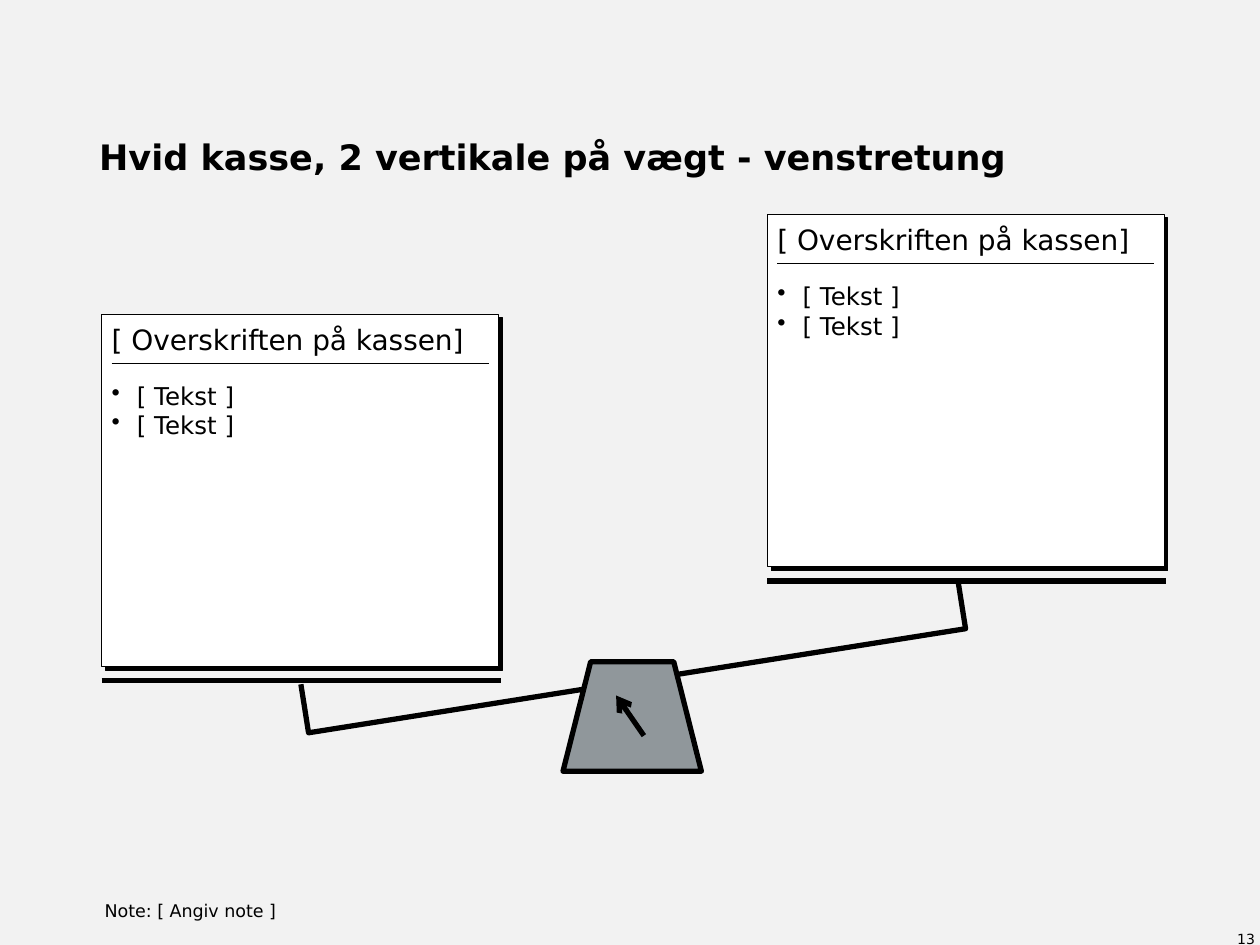
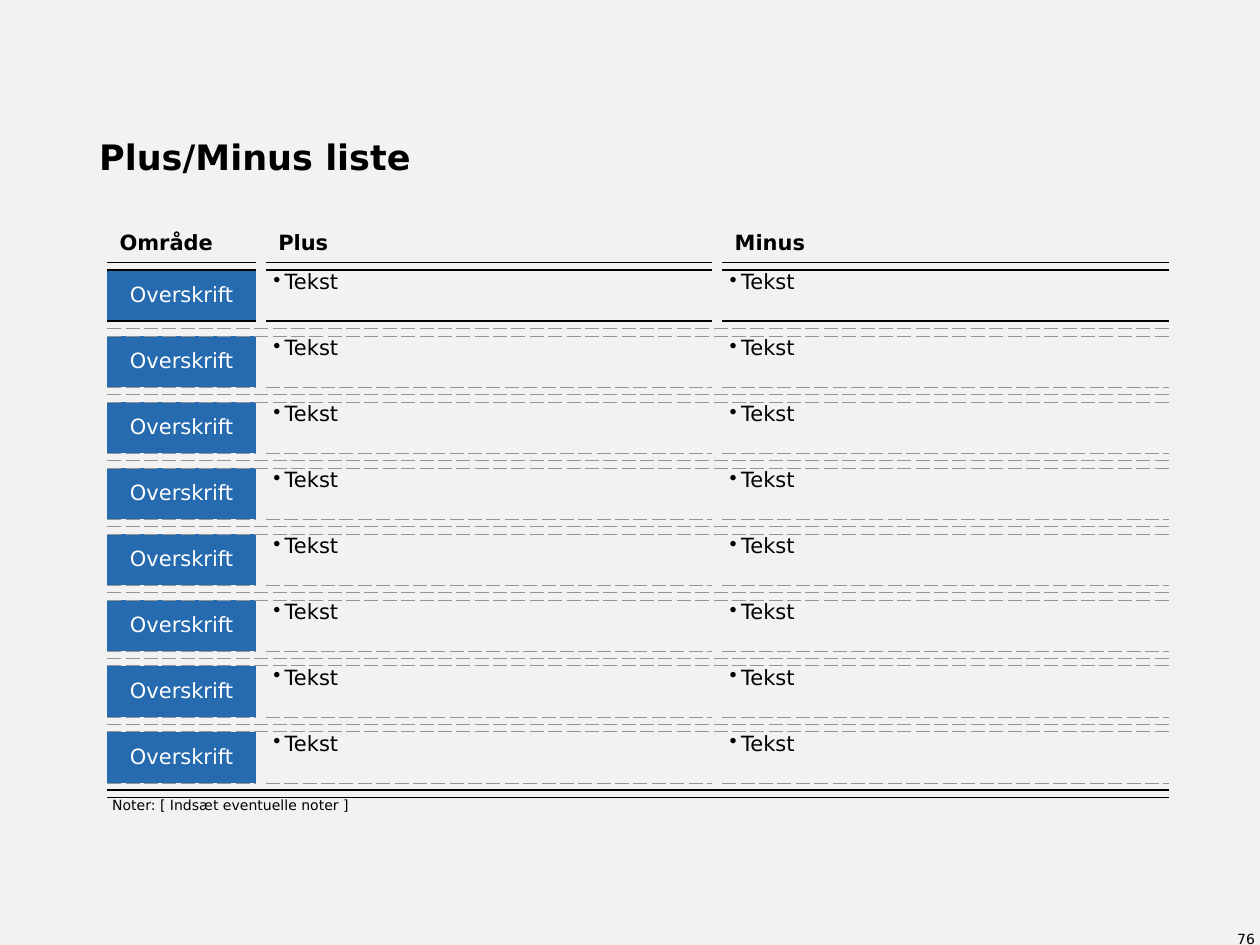
from lxml.etree import SubElement
from pptx import Presentation
from pptx.dml.color import RGBColor
from pptx.enum.shapes import MSO_CONNECTOR, MSO_SHAPE
from pptx.enum.text import MSO_ANCHOR, PP_ALIGN
from pptx.oxml.ns import qn
from pptx.util import Cm, Pt

COLORS = {
    "background": "F2F2F2",
    "ink": "000000",
    "paper": "FFFFFF",
    "gray": "90979B",
    "blue": "266BAF",
}
RGB = {name: RGBColor.from_string(value) for name, value in COLORS.items()}
FONT = "DejaVu Sans"


def write(holder, lines, size, color="ink", bold=False, align=PP_ALIGN.LEFT,
          anchor=MSO_ANCHOR.TOP, padding=(0, 0), indent=0, spacing=1):
    frame = getattr(holder, "text_frame", holder)
    frame.word_wrap = True
    holder.vertical_anchor = anchor
    holder.margin_left = holder.margin_right = Cm(padding[0])
    holder.margin_top = holder.margin_bottom = Cm(padding[1])
    for number, line in enumerate(lines):
        para = frame.add_paragraph() if number else frame.paragraphs[0]
        para.add_run().text = line
        para.alignment = align
        para.line_spacing = spacing
        if indent:
            properties = para._p.get_or_add_pPr()
            properties.set("marL", str(Cm(indent)))
            properties.set("indent", str(-Cm(indent)))
            SubElement(properties, qn("a:buChar"), char="•")
        para.font.name = FONT
        para.font.size = Pt(size)
        para.font.bold = bold
        para.font.color.rgb = RGB[color]


def draw_line(page, start_x, start_y, end_x, end_y, width):
    line = page.shapes.add_connector(
        MSO_CONNECTOR.STRAIGHT, Cm(start_x), Cm(start_y), Cm(end_x), Cm(end_y))
    line.line.color.rgb = RGB["ink"]
    line.line.width = Pt(width)
    SubElement(line._element.spPr, qn("a:effectLst"))
    return line


deck = Presentation()
deck.slide_width, deck.slide_height = Cm(25.4), Cm(19.05)
pages = []
for title, page_number in (
    ("Hvid kasse, 2 vertikale på vægt - venstretung", "13"),
    ("Plus/Minus liste", "76"),
):
    page = deck.slides.add_slide(deck.slide_layouts[6])
    page.background.fill.solid()
    page.background.fill.fore_color.rgb = RGB["background"]
    box = page.shapes.add_textbox(Cm(2), Cm(1.5), Cm(21.4), Cm(2.1))
    write(box.text_frame, [title], 20, bold=True, anchor=MSO_ANCHOR.BOTTOM, spacing=0.96)
    box = page.shapes.add_textbox(Cm(19.38), Cm(18.7), Cm(5.92), Cm(0.38))
    write(box.text_frame, [page_number], 8, align=PP_ALIGN.RIGHT, spacing=1.15)
    pages.append(page)
scale_page, list_page = pages

CARD_WIDTH, CARD_HEIGHT = 8, 7.11
for left, top in ((2.05, 6.33), (15.47, 4.32)):
    draw_line(scale_page, left, top + 7.39, left + 8.04, top + 7.39, 3)
    card = scale_page.shapes.add_shape(
        MSO_SHAPE.RECTANGLE, Cm(left), Cm(top), Cm(CARD_WIDTH), Cm(CARD_HEIGHT))
    card.fill.solid()
    card.fill.fore_color.rgb = RGB["paper"]
    card.line.color.rgb = RGB["ink"]
    card.line.width = Pt(0.5)
    effects = SubElement(card._element.spPr, qn("a:effectLst"))
    shadow = SubElement(effects, qn("a:outerShdw"), dist=str(Pt(3)), dir="2700000",
                        algn="ctr", rotWithShape="0")
    SubElement(shadow, qn("a:srgbClr"), val=COLORS["ink"])
    draw_line(scale_page, left + 0.2, top + 1, left + 7.8, top + 1, 0.5)
    box = scale_page.shapes.add_textbox(Cm(left), Cm(top), Cm(CARD_WIDTH), Cm(1))
    write(box.text_frame, ["[ Overskriften på kassen]"], 16,
          anchor=MSO_ANCHOR.BOTTOM, padding=(0.2, 0.15))
    box = scale_page.shapes.add_textbox(Cm(left), Cm(top + 1.2), Cm(CARD_WIDTH), Cm(5.4))
    write(box.text_frame, ["[ Tekst ]"] * 2, 14, padding=(0.2, 0.15), indent=0.51)

beam = scale_page.shapes.add_shape(
    MSO_SHAPE.RIGHT_BRACKET, Cm(12.27), Cm(6.53), Cm(0.99), Cm(13.41))
beam.adjustments[0] = 0
beam.rotation = 81
beam.fill.background()
foot = scale_page.shapes.add_shape(
    MSO_SHAPE.FLOWCHART_MANUAL_OPERATION, Cm(11.35), Cm(13.34), Cm(2.79), Cm(2.21))
foot._element.spPr.xfrm.set("flipV", "1")
foot.fill.solid()
foot.fill.fore_color.rgb = RGB["gray"]
for part in (beam, foot):
    part.line.color.rgb = RGB["ink"]
    part.line.width = Pt(3)
    part.shadow.inherit = False
needle = draw_line(scale_page, 12.98, 14.83, 12.42, 14.02, 3)
SubElement(needle.line._get_or_add_ln(), qn("a:tailEnd"), type="arrow")

box = scale_page.shapes.add_textbox(Cm(2.11), Cm(18.14), Cm(10), Cm(0.43))
write(box.text_frame, ["Note: [ Angiv note ]"], 10)

AREAS = 8
WIDTHS = [3, 0.2, 9, 0.2, 9]
HEIGHTS = [0.75] + [0.15, 1.03, 0.15] * AREAS + [0.15, 1.03]
TEXT_COLUMNS = (0, 2, 4)
CLOSING_ROW = len(HEIGHTS) - 2
BLACK_RULES = (0, 1, CLOSING_ROW - 1, CLOSING_ROW)

table_frame = list_page.shapes.add_table(
    len(HEIGHTS), len(WIDTHS), Cm(2.16), Cm(4.52), Cm(sum(WIDTHS)), Cm(sum(HEIGHTS)))
table = table_frame.table
table.first_row = table.horz_banding = False
style = table._tbl.tblPr.find(qn("a:tableStyleId"))
style.text = "{2D5ABB26-0587-4C30-8999-92F81FD0307C}"
for column, width in zip(table.columns, WIDTHS):
    column.width = Cm(width)
for row, height in zip(table.rows, HEIGHTS):
    row.height = Cm(height)

for row in range(CLOSING_ROW + 1):
    if row % 3 == 2:
        continue
    full_width = row == CLOSING_ROW or (row % 3 == 0 and row > 0)
    black = row in BLACK_RULES
    for column in range(len(WIDTHS)) if full_width else TEXT_COLUMNS:
        for side, edge_row in (("a:lnB", row), ("a:lnT", row + 1)):
            properties = table.cell(edge_row, column)._tc.get_or_add_tcPr()
            edge = SubElement(properties, qn(side), w=str(Pt(1 if black else 0.25)))
            fill = SubElement(edge, qn("a:solidFill"))
            SubElement(fill, qn("a:srgbClr"), val=COLORS["ink" if black else "gray"])
            SubElement(edge, qn("a:prstDash"), val="solid" if black else "dash")

for row in (CLOSING_ROW, CLOSING_ROW + 1):
    table.cell(row, 0).merge(table.cell(row, len(WIDTHS) - 1))

for row in range(len(HEIGHTS)):
    for column in range(len(WIDTHS)):
        cell = table.cell(row, column)
        cell.fill.background()
        if row == 0 and column in TEXT_COLUMNS:
            heading = ("Område", "Plus", "Minus")[column // 2]
            write(cell, [heading], 12, bold=True, anchor=MSO_ANCHOR.BOTTOM,
                  padding=(0.25, 0.13))
        elif row == CLOSING_ROW + 1 and column == 0:
            write(cell, ["Noter: [ Indsæt eventuelle noter ]"], 8, padding=(0.1, 0))
        elif row < CLOSING_ROW and row % 3 == 2 and column == 0:
            cell.fill.solid()
            cell.fill.fore_color.rgb = RGB["blue"]
            write(cell, ["Overskrift"], 12, "paper", align=PP_ALIGN.CENTER,
                  anchor=MSO_ANCHOR.MIDDLE, padding=(0.15, 0))
        elif row < CLOSING_ROW and row % 3 == 2 and column in TEXT_COLUMNS:
            write(cell, ["Tekst"], 12, padding=(0.15, 0), indent=0.23)
        else:
            cell.margin_left = cell.margin_right = cell.margin_top = cell.margin_bottom = 0
            SubElement(cell.text_frame.paragraphs[0]._p, qn("a:endParaRPr"), sz="100")

deck.save("out.pptx")
